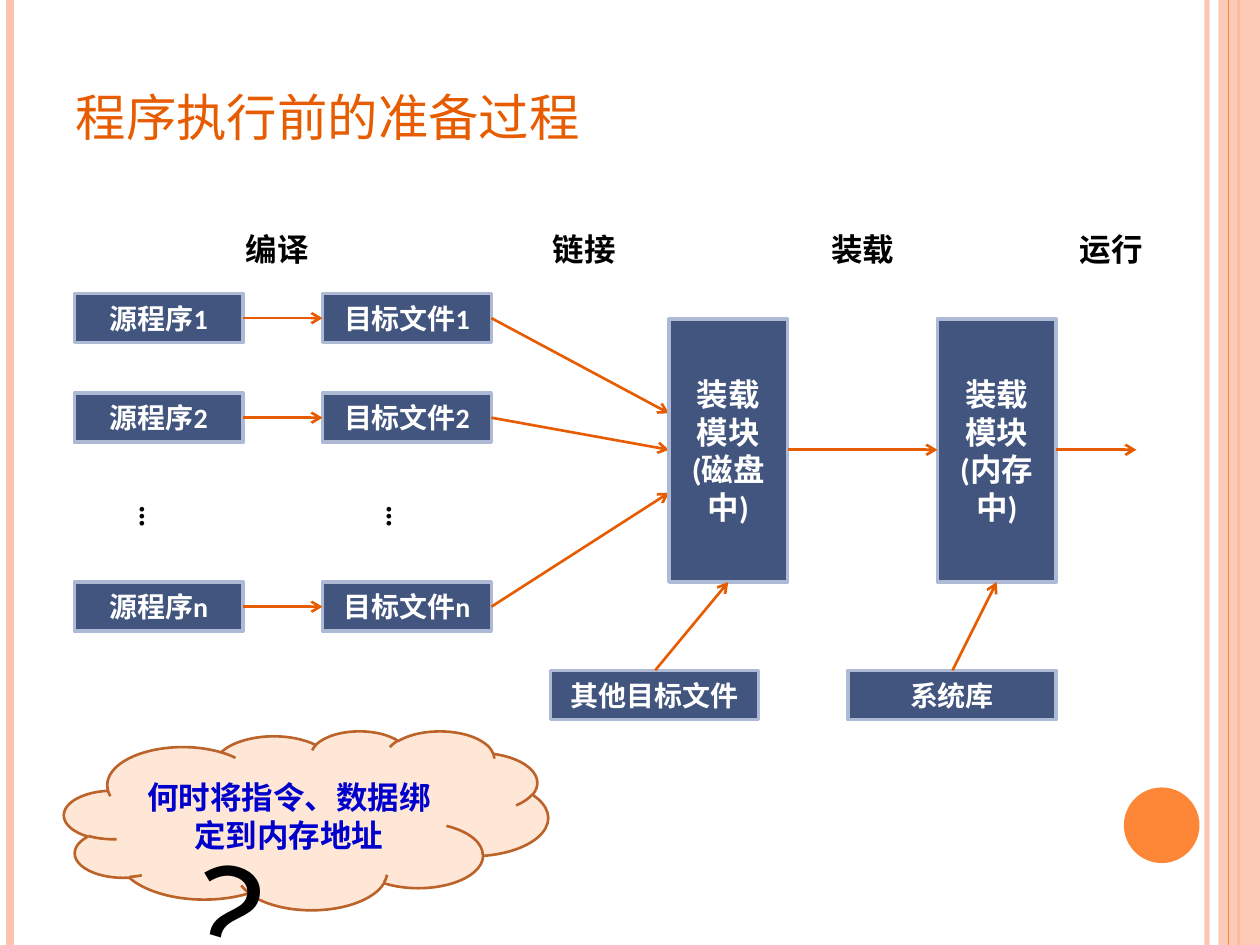
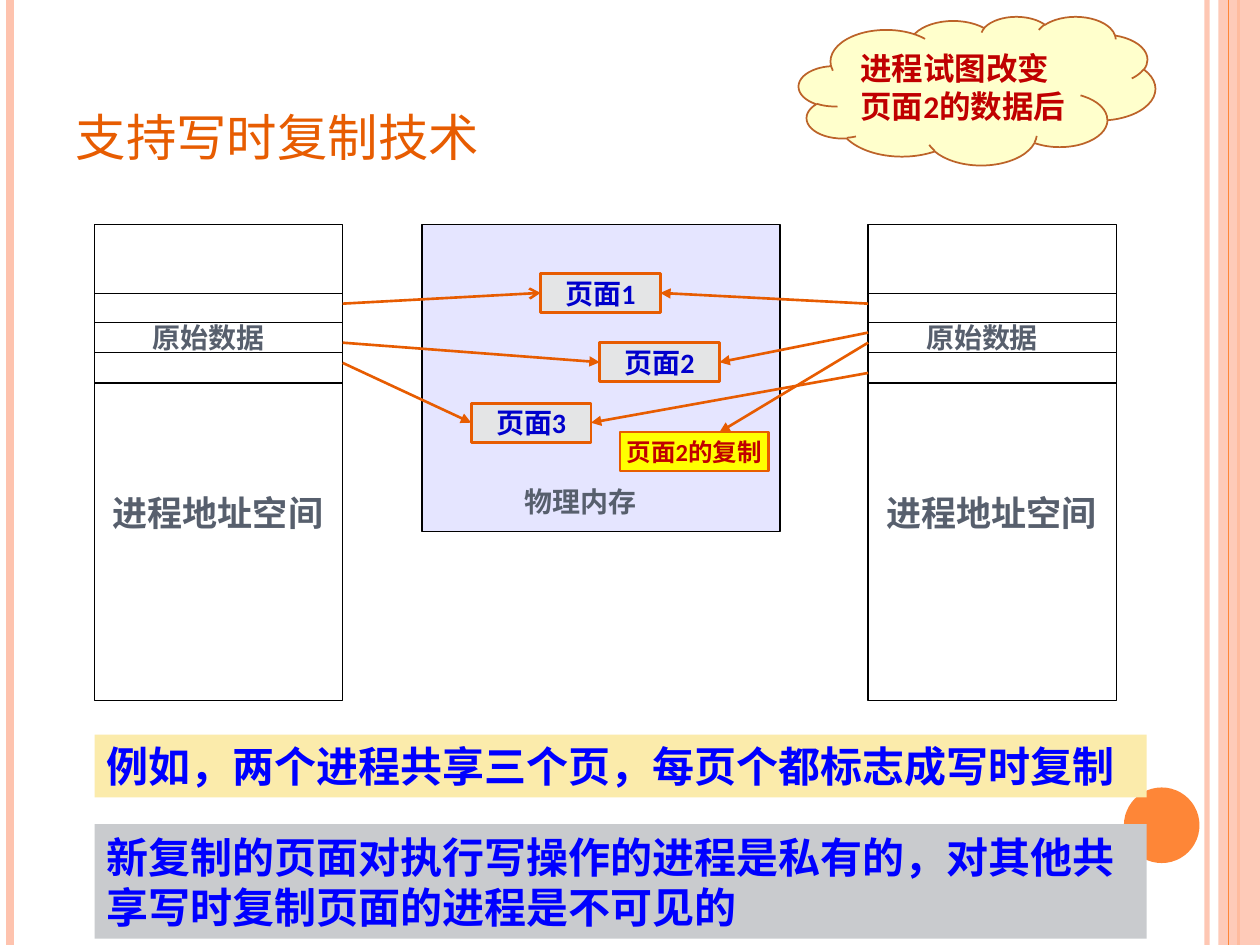
from dataclasses import dataclass

from lxml import etree
from pptx import Presentation
from pptx import util as u
from pptx.dml.color import RGBColor
from pptx.enum import shapes as s
from pptx.enum import text as t
from pptx.oxml.ns import qn

RECT = s.MSO_SHAPE.RECTANGLE
OVAL = s.MSO_SHAPE.OVAL
CLOUD = s.MSO_SHAPE.CLOUD
LEFT, MID = t.PP_ALIGN.LEFT, t.PP_ALIGN.CENTER


@dataclass(frozen=True)
class Theme:
    latin: str = "Calibri"
    asian: str = "Noto Sans CJK SC"
    accent: str = "E75C01"
    orange: str = "FE8637"
    peach: str = "FEC3AE"
    navy: str = "42557F"
    edge: str = "AEBAD5"
    rust: str = "BC6329"
    black: str = "000000"
    white: str = "FFFFFF"
    slate: str = "575F6D"
    blue: str = "0000CC"
    bright: str = "0000FF"
    red: str = "C00000"
    cream: str = "FFE7D7"
    lemon: str = "FFFFCC"
    yellow: str = "FFFF00"
    lilac: str = "E5E5FF"
    pale: str = "E4E5E6"
    sand: str = "FBEBAB"
    gray: str = "C9CBCE"
    tiny: int = 14
    small: int = 16
    body: int = 18
    large: int = 20
    note: int = 24
    title: int = 36
    huge: int = 80


T = Theme()


def place(*at):
    return [u.Inches(n) for n in at]


def paint(fill, color, alpha=100):
    """Fill with a colour; alpha is the opacity in percent."""
    fill.solid()
    fill.fore_color.rgb = RGBColor.from_string(color)
    if alpha < 100:
        for tone in fill._xPr.iter(qn("a:srgbClr")):
            etree.SubElement(tone, qn("a:alpha")).set("val", str(alpha * 1000))


def write(shape, lines, size, color, align=MID, wrap=True,
          anchor=t.MSO_ANCHOR.MIDDLE, bold=True, latin=T.latin, caps="none"):
    frame = shape.text_frame
    frame.text = lines
    frame.word_wrap = wrap
    frame.auto_size = t.MSO_AUTO_SIZE.NONE
    frame.vertical_anchor = anchor
    for para in frame.paragraphs:
        para.alignment = align
        font = para.font
        font.size, font.bold, font.name = u.Pt(size), bold, latin
        font.color.rgb = RGBColor.from_string(color)
        props = para._p.pPr.find(qn("a:defRPr"))
        props.set("cap", caps)
        etree.SubElement(props, qn("a:ea")).set("typeface", T.asian)


def draw(shapes, kind, at, fill, line=None, width=0.75, alpha=100):
    shape = shapes.add_shape(kind, *place(*at))
    shape.shadow.inherit = False
    paint(shape.fill, fill, alpha)
    if line:
        paint(shape.line.fill, line)
        shape.line.width = u.Pt(width)
    else:
        shape.line.fill.background()
    return shape


def label(shapes, at, words, size, color, **look):
    box = shapes.add_textbox(*place(*at))
    write(box, words, size, color, **look)
    return box


def rule(shapes, start, end, color=T.black, width=0.75, head=None, alpha=100):
    """Straight line, with an arrowhead of type head at its end."""
    line = shapes.add_connector(s.MSO_CONNECTOR.STRAIGHT, *place(*start, *end))
    paint(line.line.fill, color, alpha)
    line.line.width = u.Pt(width)
    if head:
        edge = line.line._get_or_add_ln()
        etree.SubElement(edge, qn("a:tailEnd")).set("type", head)
    etree.SubElement(line.element.spPr, qn("a:effectLst"))
    return line


def arrow(shapes, start, end, head="arrow"):
    rule(shapes, start, end, T.accent, 1.5, head)


def node(shapes, at, words, size=T.small):
    write(draw(shapes, RECT, at, T.navy, T.edge, 2), words, size, T.white)


def page(shapes, at, words, size=T.small, color=T.blue, fill=T.pale):
    box = draw(shapes, RECT, at, fill, T.accent, 1.5)
    write(box, words, size, color, wrap=False)


def head(slide, words, height):
    title = slide.shapes.title
    title.left, title.top, title.width, title.height = place(0.5, 0.3, 8.17, height)
    write(title, words, T.title, T.accent, LEFT, bold=False,
          anchor=t.MSO_ANCHOR.BOTTOM, latin=T.asian, caps="small")


def frame(slide):
    """Draw the side bands and the dot, then move them to the shared layout."""
    shapes = slide.shapes

    def band(x, color, width, alpha=100):
        return rule(shapes, (x, 0), (x, 7.5), color, width, alpha=alpha)

    parts = [
        band(9.58, T.peach, 3, 93),
        band(0.08, T.peach, 4.5),
        band(9.83, T.orange, 1.5),
        draw(shapes, RECT, (9.67, 0, 0.33, 7.5), T.peach, alpha=87),
        band(9.75, T.orange, 0.75),
        draw(shapes, OVAL, (8.92, 6.25, 0.6, 0.6), T.orange),
    ]
    tree = slide.slide_layout.shapes.element
    for spot, part in enumerate(parts, 2):
        tree.insert(spot, part.element)


def build(slide):
    """Steps from source files to a running program."""
    shapes = slide.shapes
    head(slide, "程序执行前的准备过程", 0.93)
    wide, tall = 1.34, 0.39
    src, obj = 0.59, 2.56
    disk, mem = 5.31, 7.44
    mid = 3.57

    for name, top, goal in (("1", 2.33, 3.28), ("2", 3.12, mid), ("n", 4.62, 3.91)):
        y = top + tall / 2
        node(shapes, (src, top, wide, tall), "源程序" + name)
        node(shapes, (obj, top, wide, tall), "目标文件" + name)
        arrow(shapes, (src + wide, y), (obj, y))
        arrow(shapes, (obj + wide, y), (disk, goal))
    for x in (0.91, 2.87):
        dots = label(shapes, (x, 3.91, 0.5, 0.28), "…", T.body, T.black,
                     align=LEFT, wrap=False, anchor=t.MSO_ANCHOR.TOP)
        dots.element.txBody.bodyPr.set("vert", "eaVert")

    for x, where, lib, left in ((disk, "磁盘", "其他目标文件", 4.37),
                                (mem, "内存", "系统库", 6.73)):
        node(shapes, (x, 2.53, 0.94, 2.09), f"装载模块\n({where}中)", T.body)
        node(shapes, (left, 5.32, 1.65, tall), lib)
        arrow(shapes, (left + 0.83, 5.32), (x + 0.47, 4.62))
    arrow(shapes, (disk + 0.94, mid), (mem, mid))
    arrow(shapes, (mem + 0.94, mid), (9.02, mid))

    for x, step in ((1.85, "编译"), (4.29, "链接"), (6.5, "装载"), (8.47, "运行")):
        label(shapes, (x, 1.78, 0.71, 0.4), step, T.body, T.black,
              align=LEFT, wrap=False, anchor=t.MSO_ANCHOR.TOP)

    cloud = draw(shapes, CLOUD, (0.51, 5.8, 3.84, 1.42), T.cream, T.rust, 1.5)
    write(cloud, "何时将指令、数据绑定到内存地址", T.body, T.blue)
    mark = label(shapes, (1.38, 6.52, 1.32, 1.65), "？", T.huge, T.black,
                 bold=False, wrap=False)
    mark.rotation = 16.4


def space(slide, x):
    """Address space of one process, as a group."""
    shapes = slide.shapes.add_group_shape().shapes
    draw(shapes, RECT, (x, 1.78, 1.97, 3.78), T.white, T.black)
    for y in (2.33, 2.56, 2.8, 3.04):
        rule(shapes, (x, y), (x + 1.97, y))
    label(shapes, (x + 0.47, 2.56, 0.87, 0.24), "原始数据", T.small, T.slate,
          wrap=False)
    label(shapes, (x + 0.47, 3.75, 1.02, 0.63), "进程地址空间", T.large, T.slate,
          wrap=False)


def share(slide):
    """Two processes that share pages until one of them writes."""
    shapes = slide.shapes
    head(slide, "支持写时复制技术", 1.09)
    draw(shapes, RECT, (3.35, 1.78, 2.84, 2.44), T.lilac, T.black)
    label(shapes, (3.98, 3.82, 1.26, 0.32), "物理内存", T.small, T.slate, wrap=False)

    left, right = 0.75, 6.89
    near = left + 1.97
    space(slide, left)
    space(slide, right)

    wide, tall = 0.95, 0.31
    pages = ((4.29, 2.17, 2.41, 2.41, "arrow"),
             (4.76, 2.72, 2.72, 2.64, "triangle"),
             (3.74, 3.2, 2.88, 2.96, "triangle"))
    for num, (x, top, one, two, tip) in enumerate(pages, 1):
        y = top + tall / 2
        page(shapes, (x, top, wide, tall), f"页面{num}")
        arrow(shapes, (near, one), (x, y), tip)
        arrow(shapes, (right, two), (x + wide, y), "triangle")
    page(shapes, (4.92, 3.43, 1.18, tall), "页面2的复制", T.tiny, T.red, T.yellow)
    arrow(shapes, (right, 2.72), (5.71, 3.43), "triangle")

    for top, tall, fill, words in (
            (5.83, 0.5, T.sand, "例如，两个进程共享三个页，每页个都标志成写时复制"),
            (6.54, 0.91, T.gray,
             "新复制的页面对执行写操作的进程是私有的，对其他共享写时复制页面的进程是不可见的")):
        bar = draw(shapes, RECT, (left, top, 8.35, tall), fill)
        write(bar, words, T.note, T.bright, LEFT, latin=T.asian)

    cloud = draw(shapes, CLOUD, (6.34, 0.13, 2.83, 1.18), T.lemon, T.rust, 1)
    write(cloud, "进程试图改变页面2的数据后", T.body, T.red, LEFT)


def main():
    deck = Presentation()
    deck.slide_width, deck.slide_height = place(10, 7.5)
    bare = deck.slide_layouts[5]
    first = deck.slides.add_slide(bare)
    build(first)
    share(deck.slides.add_slide(bare))
    frame(first)
    deck.save("out.pptx")


if __name__ == "__main__":
    main()
